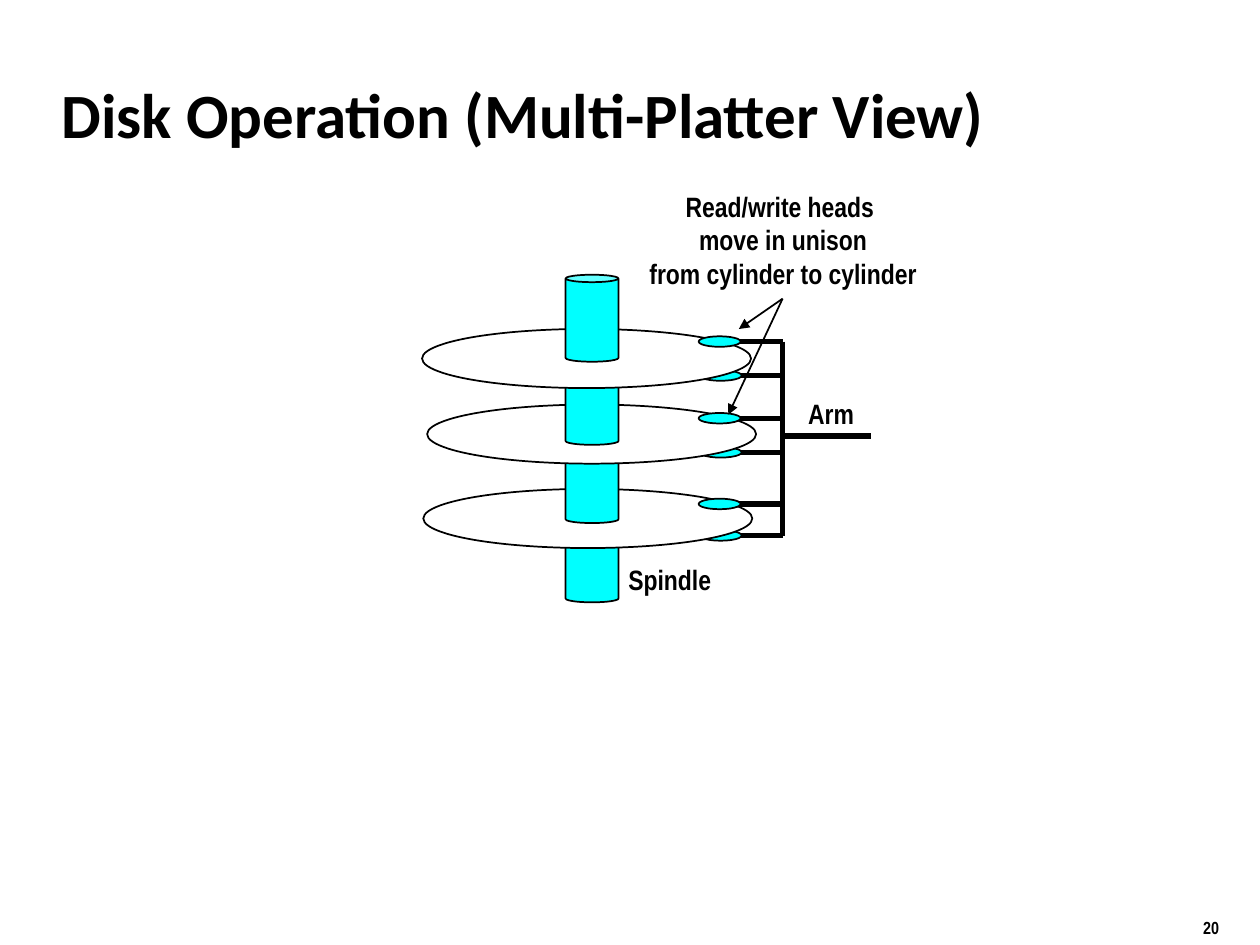
from lxml import etree
from pptx import Presentation
from pptx.dml.color import RGBColor
from pptx.enum import shapes, text
from pptx.oxml.ns import qn
from pptx.util import Pt

BLACK, WHITE, CYAN = "000000", "FFFFFF", "00FFFF"
MID, LEFT = text.PP_ALIGN.CENTER, text.PP_ALIGN.LEFT


def color(code):
    return RGBColor.from_string(code)


def style(frame, size, font, align):
    for para in frame.paragraphs:
        para.alignment = align
        for run in para.runs:
            run.font.name, run.font.size, run.font.bold = font, Pt(size), True
            run.font.color.rgb = color(BLACK)


def solid(slide, kind, x, y, w, h, fill):
    part = slide.shapes.add_shape(kind, Pt(x), Pt(y), Pt(w), Pt(h))
    part.shadow.inherit = False
    part.fill.solid()
    part.fill.fore_color.rgb = color(fill)
    part.line.color.rgb = color(BLACK)
    part.line.width = Pt(1)
    return part


def stroke(slide, x1, y1, x2, y2, width=3, arrow=False):
    link = slide.shapes.add_connector(
        shapes.MSO_CONNECTOR.STRAIGHT, Pt(x1), Pt(y1), Pt(x2), Pt(y2))
    link.line.color.rgb = color(BLACK)
    link.line.width = Pt(width)
    props = link._element.spPr
    etree.SubElement(props, qn("a:effectLst"))
    if arrow:
        etree.SubElement(props.find(qn("a:ln")), qn("a:tailEnd"), type="triangle")


def label(slide, words, x, y, w, h, size=16, align=MID, wrap=False,
          anchor=text.MSO_ANCHOR.MIDDLE):
    frame = slide.shapes.add_textbox(Pt(x), Pt(y), Pt(w), Pt(h)).text_frame
    frame.text = words
    frame.word_wrap = wrap
    frame.auto_size = text.MSO_AUTO_SIZE.SHAPE_TO_FIT_TEXT
    frame.vertical_anchor = anchor
    style(frame, size, "Arial Narrow", align)


def title(slide, words, x, y, w, h):
    head = slide.shapes.title
    head.left, head.top, head.width, head.height = Pt(x), Pt(y), Pt(w), Pt(h)
    frame = head.text_frame
    frame.text = words
    frame.vertical_anchor = text.MSO_ANCHOR.MIDDLE
    style(frame, 36, "Calibri", LEFT)


def disk(slide, x, y):
    """Draw the platter stack, spindle and arm from the top left corner."""
    oval, can = shapes.MSO_SHAPE.OVAL, shapes.MSO_SHAPE.CAN
    # Platter offset and top, then the upper and lower head heights
    stack = [(0, 31, 38.2, 57.6), (2.9, 74.2, 82, 101.5), (0.7, 122.4, 131, 149)]
    spine, hub = x + 206, x + 170

    def head(dy, dx):
        stroke(slide, spine, y + dy, hub, y + dy)
        solid(slide, oval, x + dx, y + dy - 3, 24, 6, CYAN)

    def post(dy):
        part = solid(slide, can, x + 82, y + dy, 30.2, 49.7, CYAN)
        part.adjustments[0] = 0.14

    # Lower heads lie behind the platters
    for _, _, _, low in stack:
        head(low, 158.6)
    # Spindle pieces and platters, bottom to top
    for (dx, top, _, _), dy in reversed(list(zip(stack, (47.5, 92.2, 137.5)))):
        post(dy)
        solid(slide, oval, x + dx, y + top, 188, 33.8, WHITE)
    post(0)
    # Upper heads lie in front
    for _, _, high, _ in stack:
        head(high, 158)
    # Arm
    stroke(slide, spine, y + stack[0][2], spine, y + stack[-1][3])
    stroke(slide, spine, y + 92.2, spine + 50.4, y + 92.2)
    # Labels and pointers
    label(slide, "Arm", x + 213.5, y + 66.4, 48, 26, align=LEFT)
    label(slide, "Spindle", x + 110.5, y + 160.8, 62, 26)
    label(slide, "Read/write heads \nmove in unison\nfrom cylinder to cylinder",
          x + 119.5, y - 52.5, 173.5, 65, wrap=True)
    for dx, dy in ((181, 31), (175, 80)):
        stroke(slide, spine, y + 13.7, x + dx, y + dy, 1, True)


def main():
    deck = Presentation()
    deck.slide_width, deck.slide_height = Pt(720), Pt(540)
    slide = deck.slides.add_slide(deck.slide_layouts[5])
    title(slide, "Disk Operation (Multi-Platter View)", 28, 34.6, 597.6, 59.8)
    disk(slide, 241.2, 157)
    # Slide number
    label(slide, "20", 680.4, 520.6, 54, 18.7, 10, LEFT,
          anchor=text.MSO_ANCHOR.TOP)
    deck.save("out.pptx")


if __name__ == "__main__":
    main()
